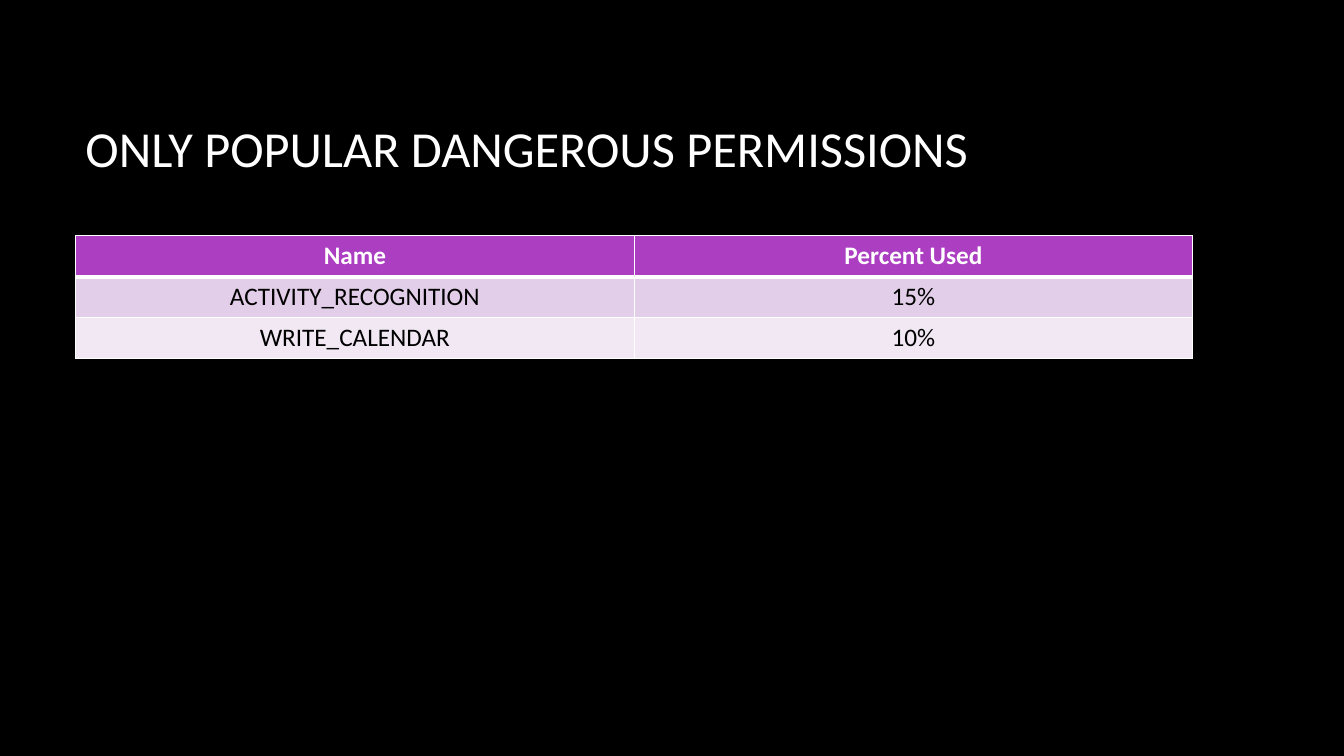
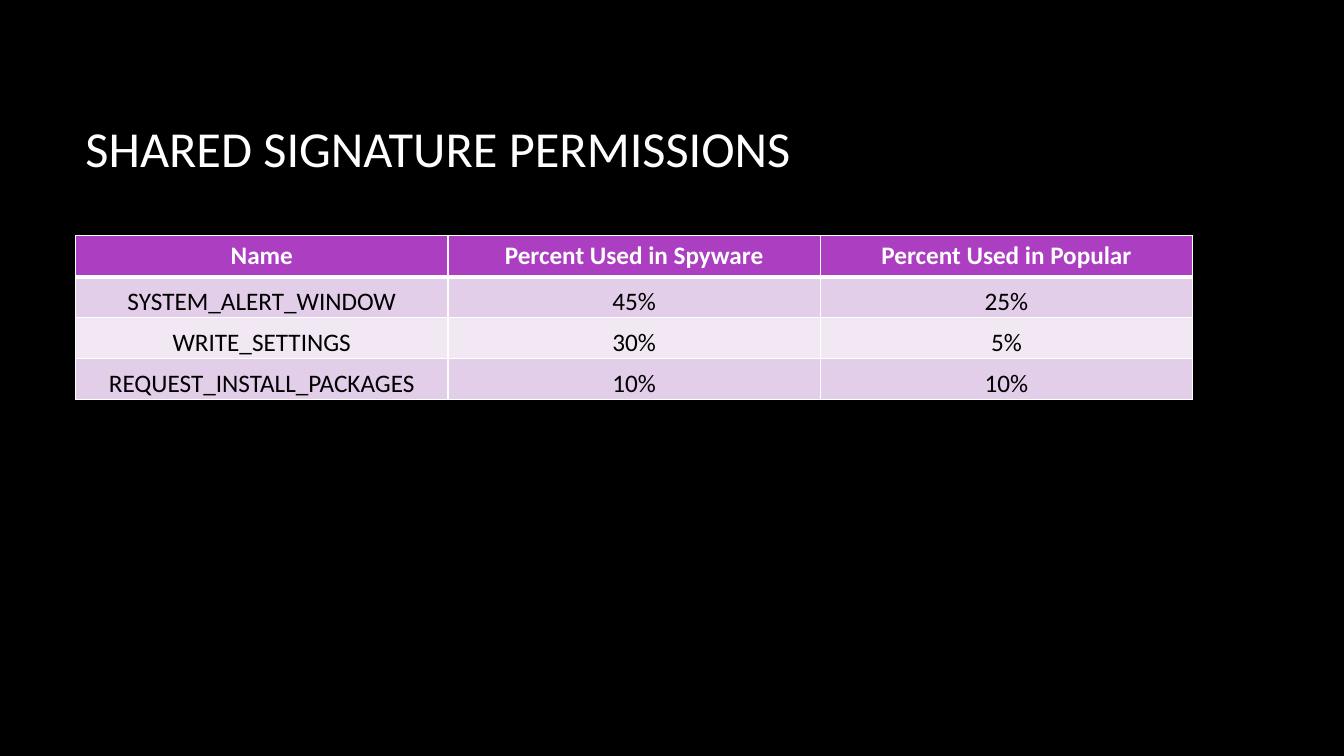
from lxml import etree
from pptx import Presentation
from pptx.dml.color import RGBColor
from pptx.enum.text import MSO_ANCHOR, PP_ALIGN
from pptx.oxml.ns import qn
from pptx.util import Pt

SLIDES = [
    {
        "title": "ONLY POPULAR DANGEROUS PERMISSIONS",
        "rows": [
            ("Name", "Percent Used"),
            ("ACTIVITY_RECOGNITION", "15%"),
            ("WRITE_CALENDAR", "10%"),
        ],
        "bottom_text": False,
    },
    {
        "title": "SHARED SIGNATURE PERMISSIONS",
        "rows": [
            ("Name", "Percent Used in Spyware", "Percent Used in Popular"),
            ("SYSTEM_ALERT_WINDOW", "45%", "25%"),
            ("WRITE_SETTINGS", "30%", "5%"),
            ("REQUEST_INSTALL_PACKAGES", "10%", "10%"),
        ],
        "bottom_text": True,
    },
]

FONT = "Calibri"
BLACK, WHITE = "000000", "FFFFFF"
HEADER_FILL = "AC3EC1"
BAND_FILLS = ("E3CEE9", "F1E8F4")
LEFT, WIDTH = 54, 798
TITLE_TOP, TITLE_HEIGHT = 48, 114.5
TABLE_TOP, ROW_HEIGHT = 168.5, 29.2


def color(hex_code):
    return RGBColor.from_string(hex_code)


def paint(fill, hex_code):
    fill.solid()
    fill.fore_color.rgb = color(hex_code)


def style_text(frame, size, hex_code, bold=False, align=PP_ALIGN.LEFT):
    para = frame.paragraphs[0]
    para.alignment = align
    for span in para.runs:
        span.font.name = FONT
        span.font.size = Pt(size)
        span.font.bold = bold
        span.font.color.rgb = color(hex_code)


def add_borders(cell, widths):
    properties = cell._tc.get_or_add_tcPr()
    for side, width in widths.items():
        line = etree.SubElement(properties, qn(f"a:ln{side}"), w=str(Pt(width)))
        fill = etree.SubElement(line, qn("a:solidFill"))
        etree.SubElement(fill, qn("a:srgbClr"), val=WHITE)


def add_title(page, title):
    box = page.shapes.add_textbox(Pt(LEFT), Pt(TITLE_TOP), Pt(WIDTH), Pt(TITLE_HEIGHT))
    frame = box.text_frame
    frame.word_wrap = True
    frame.vertical_anchor = MSO_ANCHOR.MIDDLE
    frame.text = title
    style_text(frame, 36, WHITE)


def style_cell(cell, row, bottom_text):
    header = row == 0
    add_borders(cell, {"L": 1, "R": 1, "T": 3 if row == 1 else 1, "B": 3 if header else 1})
    paint(cell.fill, HEADER_FILL if header else BAND_FILLS[(row - 1) % 2])
    style_text(cell.text_frame, 18, WHITE if header else BLACK, header, PP_ALIGN.CENTER)
    if bottom_text and not header:
        cell.vertical_anchor = MSO_ANCHOR.BOTTOM
        cell.margin_left = cell.margin_right = cell.margin_top = Pt(0.75)
        cell.margin_bottom = Pt(0)


def add_permissions(page, rows, bottom_text):
    columns = len(rows[0])
    table = page.shapes.add_table(
        len(rows), columns, Pt(LEFT), Pt(TABLE_TOP), Pt(WIDTH), Pt(ROW_HEIGHT * len(rows))
    ).table
    for column in table.columns:
        column.width = Pt(WIDTH / columns)
    for row, values in enumerate(rows):
        table.rows[row].height = Pt(ROW_HEIGHT)
        for column, value in enumerate(values):
            cell = table.cell(row, column)
            cell.text_frame.text = value
            style_cell(cell, row, bottom_text)


def main():
    deck = Presentation()
    deck.slide_width, deck.slide_height = Pt(960), Pt(540)
    paint(deck.slide_master.background.fill, BLACK)
    for content in SLIDES:
        page = deck.slides.add_slide(deck.slide_layouts[6])
        add_title(page, content["title"])
        add_permissions(page, content["rows"], content["bottom_text"])
    deck.save("out.pptx")


if __name__ == "__main__":
    main()
